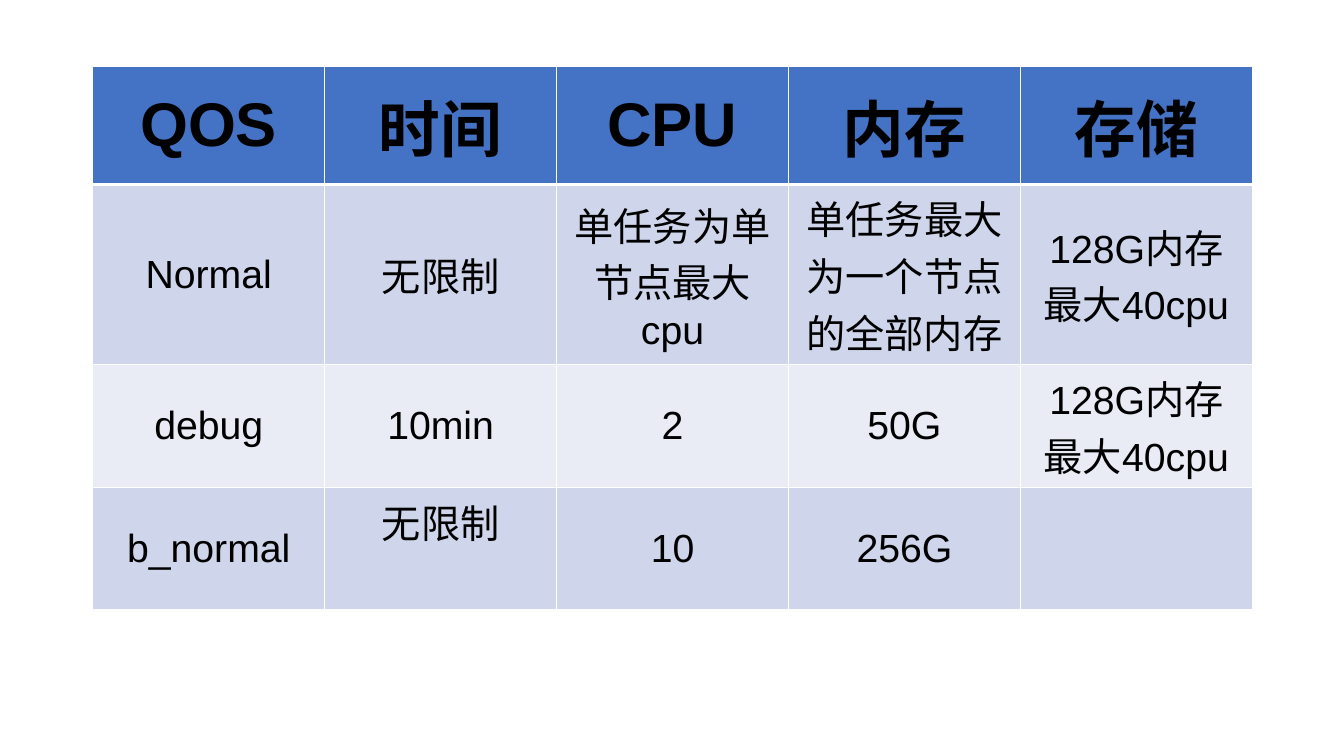
from lxml.etree import SubElement
from pptx import Presentation
from pptx.dml.color import RGBColor
from pptx.enum.text import MSO_ANCHOR as Anchor, PP_ALIGN as Align
from pptx.oxml.ns import qn
from pptx.util import Inches, Pt

HEADERS = ["QOS", "时间", "CPU", "内存", "存储"]
STORAGE_LIMIT = "128G内存\n最大40cpu"
QUEUES = [
    ["Normal", "无限制", "单任务为单节点最大cpu", "单任务最大为一个节点的全部内存", STORAGE_LIMIT],
    ["debug", "10min", "2", "50G", STORAGE_LIMIT],
    ["b_normal", "无限制", "10", "256G", ""],
]
RAISED_CELL = (3, 1)
RAISED_MARGIN = 0.6

TABLE_LEFT, TABLE_TOP = 0.92, 0.66
COLUMN_WIDTH = 2.3
ROW_HEIGHTS = [1.17, 1.51, 1.17, 1.17]

THEME = {
    "header_fill": "4472C4",
    "band_fills": ["CFD5EA", "E9EBF5"],
    "border": "FFFFFF",
    "thin": 1,
    "thick": 3,
    "header_font": {"name": "Arial", "size": Pt(44), "bold": True},
    "body_font": {"name": "Arial", "size": Pt(28), "bold": False},
    "text": "000000",
}


def set_borders(cell, widths):
    properties = cell._tc.get_or_add_tcPr()
    for side, width in widths.items():
        line = SubElement(properties, qn(f"a:{side}"), w=str(Pt(width)))
        fill = SubElement(line, qn("a:solidFill"))
        SubElement(fill, qn("a:srgbClr"), val=THEME["border"])


def fill_cell(cell, text, row):
    thin, thick = THEME["thin"], THEME["thick"]
    set_borders(cell, {
        "lnL": thin,
        "lnR": thin,
        "lnT": thick if row == 1 else thin,
        "lnB": thick if row == 0 else thin,
    })
    bands = THEME["band_fills"]
    color = THEME["header_fill"] if row == 0 else bands[(row - 1) % len(bands)]
    cell.fill.solid()
    cell.fill.fore_color.rgb = RGBColor.from_string(color)
    cell.vertical_anchor = Anchor.MIDDLE
    cell.text_frame.text = text
    font_format = THEME["header_font" if row == 0 else "body_font"]
    for paragraph in cell.text_frame.paragraphs:
        paragraph.alignment = Align.CENTER
        for run in paragraph.runs:
            for name, value in font_format.items():
                setattr(run.font, name, value)
            run.font.color.rgb = RGBColor.from_string(THEME["text"])


def main():
    presentation = Presentation()
    presentation.slide_width = Inches(13.33)
    presentation.slide_height = Inches(7.5)
    slide = presentation.slides.add_slide(presentation.slide_layouts[6])

    rows = [HEADERS] + QUEUES
    table = slide.shapes.add_table(
        len(rows), len(HEADERS), Inches(TABLE_LEFT), Inches(TABLE_TOP),
        Inches(COLUMN_WIDTH * len(HEADERS)), Inches(sum(ROW_HEIGHTS)),
    ).table
    for column in table.columns:
        column.width = Inches(COLUMN_WIDTH)
    for row, (height, texts) in enumerate(zip(ROW_HEIGHTS, rows)):
        table.rows[row].height = Inches(height)
        for column, text in enumerate(texts):
            fill_cell(table.cell(row, column), text, row)
    table.cell(*RAISED_CELL).margin_bottom = Inches(RAISED_MARGIN)

    presentation.save("out.pptx")


if __name__ == "__main__":
    main()
